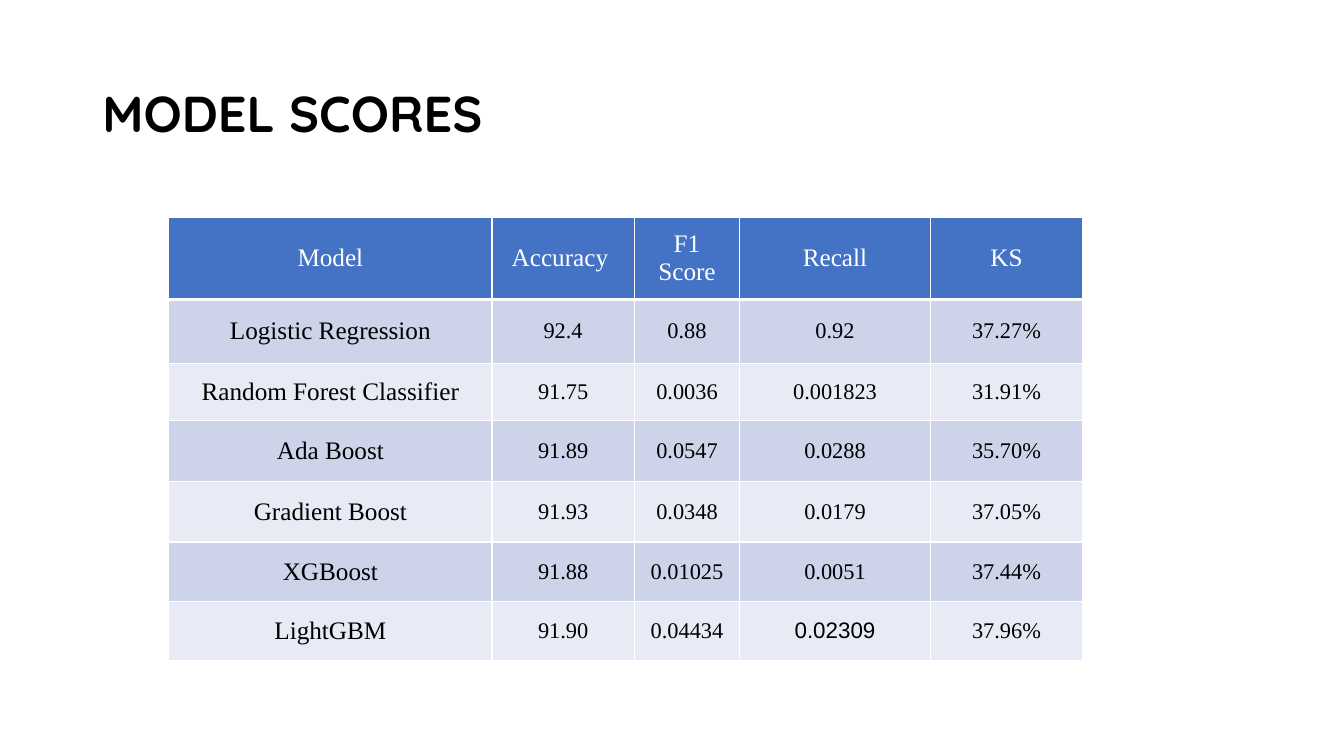
"""Build the model scores slide."""
from dataclasses import dataclass

from lxml import etree
from pptx import Presentation
from pptx.dml.color import RGBColor
from pptx.enum.text import MSO_ANCHOR, PP_ALIGN
from pptx.oxml.ns import qn
from pptx.util import Pt

MIDDLE = MSO_ANCHOR.MIDDLE
CENTER = PP_ALIGN.CENTER


@dataclass(frozen=True)
class Theme:
    title_font: str = "Quicksand"
    table_font: str = "Times New Roman"
    accent_font: str = "Arial"
    title_size: float = 36
    label_size: float = 18
    value_size: float = 16
    white: str = "FFFFFF"
    black: str = "000000"
    header_fill: str = "4472C4"
    band_fills: tuple[str, str] = ("CDD4EA", "E8EBF5")
    border_width: float = 1
    header_rule_width: float = 3


@dataclass(frozen=True)
class ModelScore:
    model: str
    accuracy: str
    f1_score: str
    recall: str
    ks: str
    height: float
    recall_font: str = ""


@dataclass(frozen=True)
class CellStyle:
    fill: str
    color: str
    size: float
    font: str
    margin_x: float
    margin_y: float
    top_border: float
    bottom_border: float


THEME = Theme()
HEADINGS = ("Model", "Accuracy ", "F1 Score", "Recall", "KS")
COLUMN_WIDTHS = (231, 101.5, 75.5, 136, 109)
HEADER_HEIGHT = 59
SCORES = (
    ModelScore("Logistic Regression", "92.4", "0.88", "0.92", "37.27%", 45.4),
    ModelScore("Random Forest Classifier", "91.75", "0.0036", "0.001823", "31.91%", 41),
    ModelScore("Ada Boost", "91.89", "0.0547", "0.0288", "35.70%", 43.4),
    ModelScore("Gradient Boost", "91.93", "0.0348", "0.0179", "37.05%", 43.4),
    ModelScore("XGBoost", "91.88", "0.01025", "0.0051", "37.44%", 42.4),
    ModelScore("LightGBM", "91.90", "0.04434", "0.02309", "37.96%", 42.4,
               THEME.accent_font),
)


def add_border(cell, side: str, width: float) -> None:
    properties = cell._tc.get_or_add_tcPr()
    line = etree.SubElement(properties, qn(f"a:{side}"), w=str(Pt(width)))
    fill = etree.SubElement(line, qn("a:solidFill"))
    etree.SubElement(fill, qn("a:srgbClr"), val=THEME.white)


def format_run(run, font: str, size: float, color: str, bold: bool) -> None:
    run.font.name = font
    run.font.size = Pt(size)
    run.font.bold = bold
    run.font.color.rgb = RGBColor.from_string(color)


def fill_cell(cell, text: str, style: CellStyle) -> None:
    borders = {"lnL": THEME.border_width, "lnR": THEME.border_width,
               "lnT": style.top_border, "lnB": style.bottom_border}
    for side, width in borders.items():
        add_border(cell, side, width)
    cell.fill.solid()
    cell.fill.fore_color.rgb = RGBColor.from_string(style.fill)
    cell.vertical_anchor = MIDDLE
    cell.margin_left = cell.margin_right = Pt(style.margin_x)
    cell.margin_top = cell.margin_bottom = Pt(style.margin_y)
    cell.text_frame.text = text
    paragraph = cell.text_frame.paragraphs[0]
    paragraph.alignment = CENTER
    format_run(paragraph.runs[0], style.font, style.size, style.color, False)


def add_title(slide, text: str) -> None:
    shape = slide.shapes.add_textbox(Pt(66), Pt(54.5), Pt(828), Pt(57))
    text_frame = shape.text_frame
    text_frame.word_wrap = True
    text_frame.vertical_anchor = MIDDLE
    text_frame.text = text
    paragraph = text_frame.paragraphs[0]
    paragraph.line_spacing = 0.9
    format_run(paragraph.runs[0], THEME.title_font, THEME.title_size, THEME.black, True)


def add_score_table(slide) -> None:
    heights = (HEADER_HEIGHT, *(score.height for score in SCORES))
    table = slide.shapes.add_table(
        len(heights), len(HEADINGS), Pt(120.5), Pt(155),
        Pt(sum(COLUMN_WIDTHS)), Pt(sum(heights))).table
    for column, width in zip(table.columns, COLUMN_WIDTHS):
        column.width = Pt(width)
    for row, height in zip(table.rows, heights):
        row.height = Pt(height)

    header_style = CellStyle(THEME.header_fill, THEME.white, THEME.label_size,
                             THEME.table_font, 7.2, 3.6,
                             THEME.border_width, THEME.header_rule_width)
    for column_index, heading in enumerate(HEADINGS):
        fill_cell(table.cell(0, column_index), heading, header_style)

    for row_index, score in enumerate(SCORES):
        fill = THEME.band_fills[row_index % 2]
        top = THEME.border_width if row_index else THEME.header_rule_width
        recall_font = score.recall_font or THEME.table_font
        entries = (
            (score.model, THEME.label_size, THEME.table_font),
            (score.accuracy, THEME.value_size, THEME.table_font),
            (score.f1_score, THEME.value_size, THEME.table_font),
            (score.recall, THEME.value_size, recall_font),
            (score.ks, THEME.value_size, THEME.table_font),
        )
        for column_index, (text, size, font) in enumerate(entries):
            style = CellStyle(fill, THEME.black, size, font, 5, 5,
                              top, THEME.border_width)
            fill_cell(table.cell(row_index + 1, column_index), text, style)


def main() -> None:
    presentation = Presentation()
    presentation.slide_width = Pt(960)
    presentation.slide_height = Pt(540)
    slide = presentation.slides.add_slide(presentation.slide_layouts[6])
    add_score_table(slide)
    add_title(slide, "MODEL SCORES")
    presentation.save("out.pptx")


if __name__ == "__main__":
    main()
